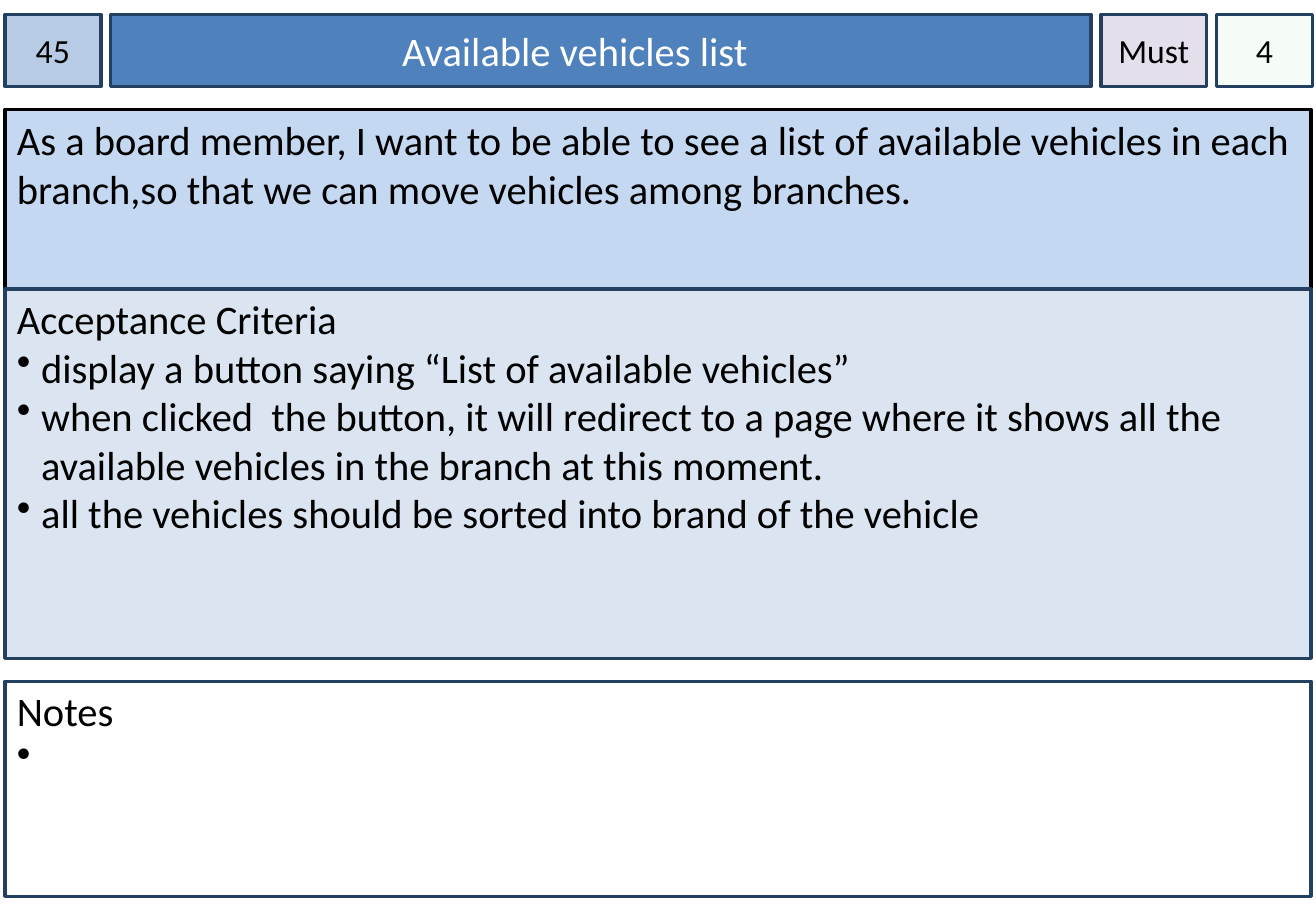
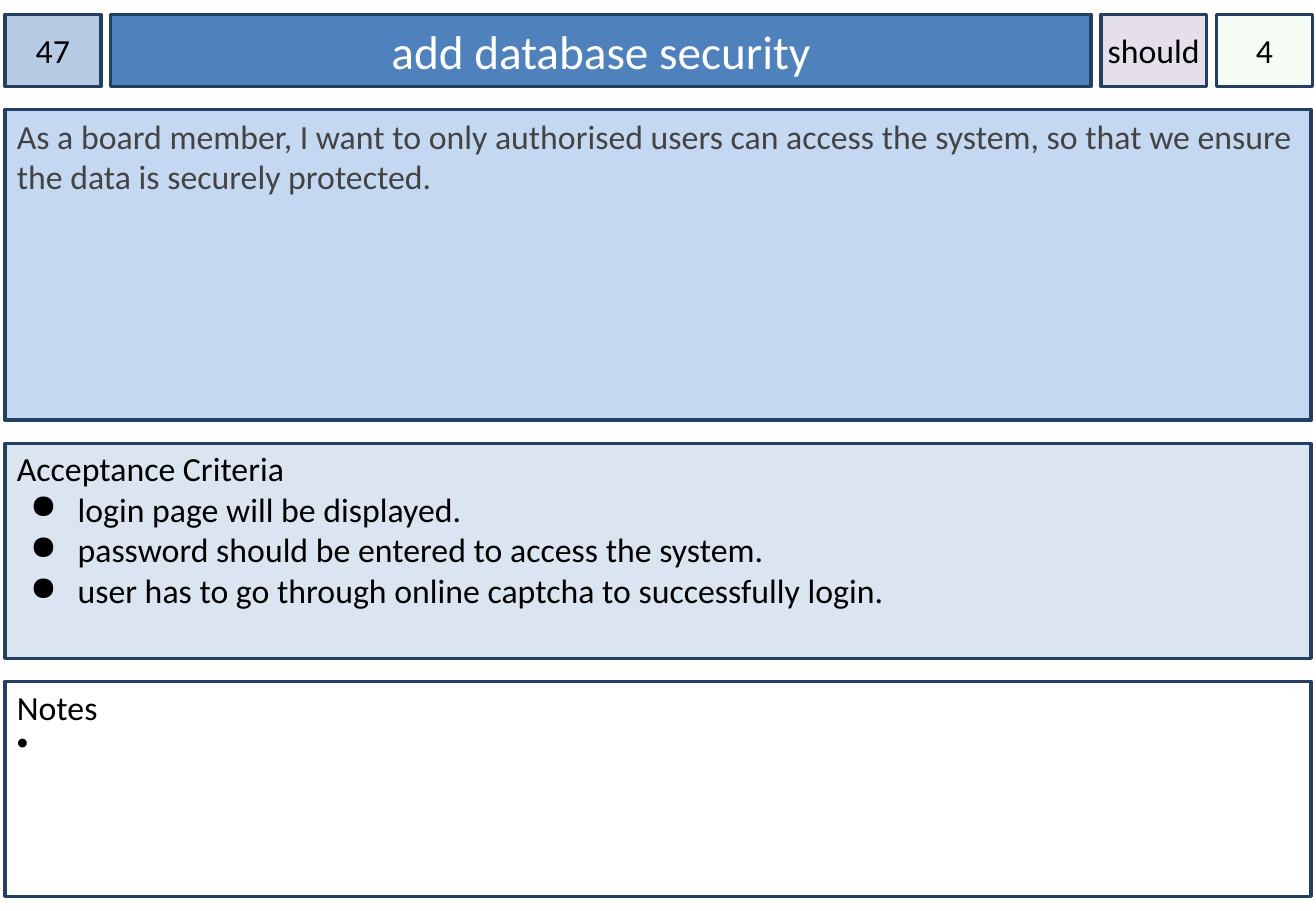
from dataclasses import dataclass

import pptx
import pptx.presentation
import pptx.shapes.autoshape
import pptx.slide
import pptx.text.text
from lxml import etree
from pptx.dml.color import RGBColor
from pptx.enum.shapes import MSO_SHAPE
from pptx.enum.text import MSO_ANCHOR, MSO_AUTO_SIZE, PP_ALIGN
from pptx.oxml.ns import qn
from pptx.util import Inches, Pt


@dataclass(frozen=True)
class Theme:
    font: str = "Calibri"
    black: str = "000000"
    white: str = "FFFFFF"
    grey: str = "434343"
    outline: str = "244061"
    number: str = "B7CCE4"
    title: str = "4F81BD"
    priority: str = "E5DFEC"
    estimate: str = "CCF0CD"
    estimate_opacity: int = 20
    story: str = "C5D8F1"
    criteria: str = "DAE5F1"
    line_width: float = 2
    label_size: int = 20


@dataclass(frozen=True)
class Box:
    left: float
    top: float
    width: float
    height: float


@dataclass(frozen=True)
class Bullet:
    character: str
    left: float
    hanging: float


@dataclass(frozen=True)
class Card:
    number: str
    title: str
    title_size: int
    priority: str
    estimate: str
    story: str
    criteria: list[str]
    criteria_bullet: Bullet
    remark_bullet: Bullet
    body_size: int
    story_height: float
    story_gap: float
    story_color: str
    story_outline: str
    title_indent: float | None = None


THEME = Theme()
MARGIN = 0.04
HEADER_TOP, HEADER_HEIGHT, HEADER_GAP = 0.12, 0.59, 0.08
HEADER_WIDTHS = (0.79, 8.07, 0.87, 0.79)
PANEL_TOP, PANEL_WIDTH = 0.9, 10.75
CRITERIA_BOTTOM = 5.42
REMARK_TOP, REMARK_HEIGHT = 5.61, 1.77

CARDS = [
    Card(
        number="45", title="Available vehicles list", title_size=24,
        priority="Must", estimate="4",
        story="As a board member, I want to be able to see a list of available "
              "vehicles in each branch,so that we can move vehicles among branches.",
        criteria=[
            "display a button saying “List of available vehicles”",
            "when clicked  the button, it will redirect to a page where it shows "
            "all the available vehicles in the branch at this moment.",
            "all the vehicles should be sorted into brand of the vehicle",
        ],
        criteria_bullet=Bullet("•", 0.2, 0.22), remark_bullet=Bullet("•", 0.2, 0.22),
        body_size=24, story_height=1.48, story_gap=0,
        story_color=THEME.black, story_outline=THEME.black, title_indent=2.3,
    ),
    Card(
        number="47", title="add database security", title_size=28,
        priority="should", estimate="4",
        story="As a board member, I want to only authorised users can access the "
              "system, so that we ensure the data is securely protected.",
        criteria=[
            "login page will be displayed.",
            "password should be entered to access the system.",
            "user has to go through online captcha to successfully login.",
        ],
        criteria_bullet=Bullet("●", 0.5, 0.39), remark_bullet=Bullet("•", 0.2, 0.2),
        body_size=20, story_height=2.56, story_gap=0.19,
        story_color=THEME.grey, story_outline=THEME.outline,
    ),
]


def header_boxes() -> list[Box]:
    boxes, left = [], MARGIN
    for width in HEADER_WIDTHS:
        boxes.append(Box(left, HEADER_TOP, width, HEADER_HEIGHT))
        left += width + HEADER_GAP
    return boxes


def style_box(shape: pptx.shapes.autoshape.Shape, fill: str,
              outline: str = THEME.outline) -> None:
    shape.fill.solid()
    shape.fill.fore_color.rgb = RGBColor.from_string(fill)
    shape.line.color.rgb = RGBColor.from_string(outline)
    shape.line.width = Pt(THEME.line_width)


def set_opacity(shape: pptx.shapes.autoshape.Shape, percent: int) -> None:
    color = shape._element.spPr.find(qn("a:solidFill"))[0]
    etree.SubElement(color, qn("a:alpha")).set("val", str(percent * 1000))


def add_box(slide: pptx.slide.Slide, box: Box, fill: str,
            outline: str = THEME.outline) -> pptx.shapes.autoshape.Shape:
    shape = slide.shapes.add_shape(
        MSO_SHAPE.RECTANGLE, Inches(box.left), Inches(box.top),
        Inches(box.width), Inches(box.height))
    shape.shadow.inherit = False
    style_box(shape, fill, outline)
    shape.text_frame.word_wrap = True
    return shape


def add_run(paragraph: pptx.text.text._Paragraph, text: str, size: int,
            color: str = THEME.black) -> None:
    run = paragraph.add_run()
    run.text = text
    run.font.name = THEME.font
    run.font.size = Pt(size)
    run.font.color.rgb = RGBColor.from_string(color)


def set_bullet(paragraph: pptx.text.text._Paragraph, bullet: Bullet) -> None:
    properties = paragraph._p.get_or_add_pPr()
    properties.set("marL", str(Inches(bullet.left)))
    properties.set("indent", str(-Inches(bullet.hanging)))
    color = etree.SubElement(properties, qn("a:buClr"))
    etree.SubElement(color, qn("a:srgbClr")).set("val", THEME.black)
    etree.SubElement(properties, qn("a:buChar")).set("char", bullet.character)


def add_label(slide: pptx.slide.Slide, box: Box, text: str,
              fill: str) -> pptx.shapes.autoshape.Shape:
    """Add a small centred header cell."""
    shape = add_box(slide, box, fill)
    frame = shape.text_frame
    frame.margin_left = frame.margin_right = Inches(0)
    frame.vertical_anchor = MSO_ANCHOR.MIDDLE
    paragraph = frame.paragraphs[0]
    paragraph.alignment = PP_ALIGN.CENTER
    add_run(paragraph, text, THEME.label_size)
    return shape


def add_panel(slide: pptx.slide.Slide, box: Box, fill: str, heading: str, size: int,
              items: list[str], bullet: Bullet | None = None,
              color: str = THEME.black, outline: str = THEME.outline) -> None:
    """Add a full-width panel: a first line, then bulleted items."""
    frame = add_box(slide, box, fill, outline).text_frame
    frame.vertical_anchor = MSO_ANCHOR.TOP
    frame.margin_top = Inches(0.04 if bullet else 0.05)
    first = frame.paragraphs[0]
    first.alignment = PP_ALIGN.LEFT
    add_run(first, heading, size, color)
    for item in items:
        paragraph = frame.add_paragraph()
        paragraph.alignment = PP_ALIGN.LEFT
        set_bullet(paragraph, bullet)
        add_run(paragraph, item, size, color)


def place_title(slide: pptx.slide.Slide, box: Box, card: Card) -> None:
    title = slide.shapes.title
    title.left, title.top = Inches(box.left), Inches(box.top)
    title.width, title.height = Inches(box.width), Inches(box.height)
    style_box(title, THEME.title)
    frame = title.text_frame
    frame.word_wrap = True
    frame.auto_size = MSO_AUTO_SIZE.NONE
    frame.vertical_anchor = MSO_ANCHOR.MIDDLE
    paragraph = frame.paragraphs[0]
    if card.title_indent is None:
        paragraph.alignment = PP_ALIGN.CENTER
    else:
        paragraph.alignment = PP_ALIGN.LEFT
        paragraph._p.get_or_add_pPr().set("marL", str(Inches(card.title_indent)))
    add_run(paragraph, card.title, card.title_size, THEME.white)


def add_card(presentation: pptx.presentation.Presentation, card: Card) -> None:
    slide = presentation.slides.add_slide(presentation.slide_layouts[5])
    number_box, title_box, priority_box, estimate_box = header_boxes()
    add_label(slide, number_box, card.number, THEME.number)
    place_title(slide, title_box, card)
    add_label(slide, priority_box, card.priority, THEME.priority)
    estimate = add_label(slide, estimate_box, card.estimate, THEME.estimate)
    set_opacity(estimate, THEME.estimate_opacity)

    criteria_top = PANEL_TOP + card.story_height + card.story_gap
    add_panel(slide, Box(MARGIN, PANEL_TOP, PANEL_WIDTH, card.story_height),
              THEME.story, card.story, card.body_size, [],
              color=card.story_color, outline=card.story_outline)
    add_panel(slide, Box(MARGIN, criteria_top, PANEL_WIDTH, CRITERIA_BOTTOM - criteria_top),
              THEME.criteria, "Acceptance Criteria", card.body_size,
              card.criteria, card.criteria_bullet)
    add_panel(slide, Box(MARGIN, REMARK_TOP, PANEL_WIDTH, REMARK_HEIGHT),
              THEME.white, "Notes", card.body_size, [" "], card.remark_bullet)


def main() -> None:
    presentation = pptx.Presentation()
    presentation.slide_width = Inches(10.83)
    presentation.slide_height = Inches(7.5)
    for card in CARDS:
        add_card(presentation, card)
    presentation.save("out.pptx")


if __name__ == "__main__":
    main()
